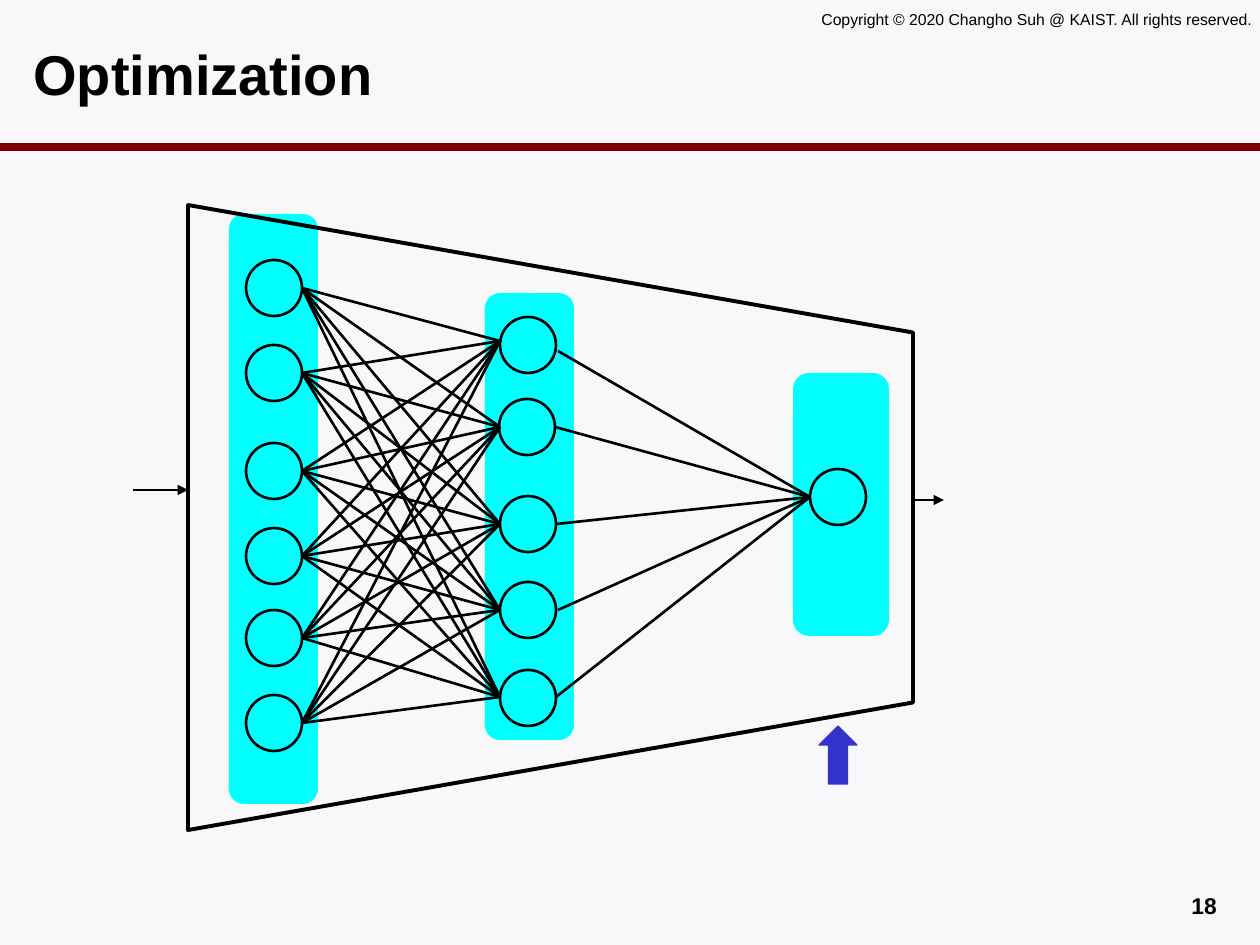
import pptx
import pptx.util
import pptx.dml.color
import pptx.enum.shapes
import pptx.enum.text
import lxml.etree

SCALE = 914400 / 126
COLORS = {"back": "F8F8FA", "rule": "800000", "ink": "000000", "band": "00FFFF", "marker": "3333CC"}
SHAPES = pptx.enum.shapes.MSO_SHAPE
ALIGN = pptx.enum.text.PP_ALIGN
ANCHOR = pptx.enum.text.MSO_ANCHOR
RGB = {name: pptx.dml.color.RGBColor.from_string(value) for name, value in COLORS.items()}

deck = pptx.Presentation()
deck.slide_width = round(1260 * SCALE)
deck.slide_height = round(945 * SCALE)
page = deck.slides.add_slide(deck.slide_layouts[6])
page.background.fill.solid()
page.background.fill.fore_color.rgb = RGB["back"]


def add_shape(kind, bounds, fill=None, line=None, weight=1.5):
    shape = page.shapes.add_shape(kind, *[round(value * SCALE) for value in bounds])
    shape.shadow.inherit = False
    if fill:
        shape.fill.solid()
        shape.fill.fore_color.rgb = RGB[fill]
    else:
        shape.fill.background()
    if line:
        shape.line.color.rgb = RGB[line]
        shape.line.width = pptx.util.Pt(weight)
    else:
        shape.line.fill.background()
    return shape


def add_line(start, end, color="ink", weight=1.5, arrow=False):
    points = [round(value * SCALE) for value in (*start, *end)]
    line = page.shapes.add_connector(pptx.enum.shapes.MSO_CONNECTOR.STRAIGHT, *points)
    line.line.color.rgb = RGB[color]
    line.line.width = pptx.util.Pt(weight)
    properties = line._element.spPr
    if arrow:
        outline = line.line._get_or_add_ln()
        lxml.etree.SubElement(outline, pptx.oxml.ns.qn("a:tailEnd"), type="triangle")
    lxml.etree.SubElement(properties, pptx.oxml.ns.qn("a:effectLst"))


add_line((0, 147), (1260, 147), "rule", 4.5)

for text, bounds, size, bold, align, anchor, wrap in [
    ("Copyright © 2020 Changho Suh @ KAIST. All rights reserved.",
     (809, 4, 470, 32), 9, False, ALIGN.LEFT, ANCHOR.TOP, False),
    ("Optimization", (21, 21, 1205, 105), 32, True, ALIGN.LEFT, ANCHOR.MIDDLE, True),
    ("18", (935, 886, 294, 34), 13, True, ALIGN.RIGHT, ANCHOR.TOP, True),
]:
    box = page.shapes.add_textbox(*[round(value * SCALE) for value in bounds])
    frame = box.text_frame
    frame.word_wrap = wrap
    frame.vertical_anchor = anchor
    frame.text = text
    para = frame.paragraphs[0]
    para.alignment = align
    font = para.runs[0].font
    font.name = "Arial"
    font.size = pptx.util.Pt(size)
    font.bold = bold
    font.color.rgb = RGB["ink"]

for bounds in [(229, 214, 89, 590), (793, 373, 96, 263), (485, 293, 89, 447)]:
    band = add_shape(SHAPES.ROUNDED_RECTANGLE, bounds, "band")
    band.adjustments[0] = 0.17

network = add_shape(SHAPES.TRAPEZOID, (238, 155, 625, 725), line="ink", weight=2.25)
network.adjustments[0] = 0.204
network.rotation = 90

DIAMETER = 56
input_nodes = [(246, y) for y in (288, 373, 471, 556, 638, 723)]
hidden_nodes = [(500, 345), (499, 427), (500, 524), (500, 610), (500, 698)]
output_node = (810, 497)
for left, middle in input_nodes + hidden_nodes + [output_node]:
    add_shape(SHAPES.OVAL, (left, middle - DIAMETER // 2, DIAMETER, DIAMETER), line="ink")

hidden_ends = [(500, y) for y in (341, 427, 524, 610, 697)]
for left, middle in input_nodes:
    for end in hidden_ends:
        add_line((left + DIAMETER, middle), end)

for start in [(558, 351), (555, 427), (556, 524), (558, 610), (556, 697)]:
    add_line(start, output_node)

for start, end in [((133, 490), (188, 490)), ((912, 500), (944, 500))]:
    add_line(start, end, weight=0.75, arrow=True)

marker = add_shape(SHAPES.UP_ARROW, (819, 726, 38, 58), "marker", "marker", 0.75)
marker.adjustments[0] = 0.5
marker.adjustments[1] = 0.5

deck.save("out.pptx")
